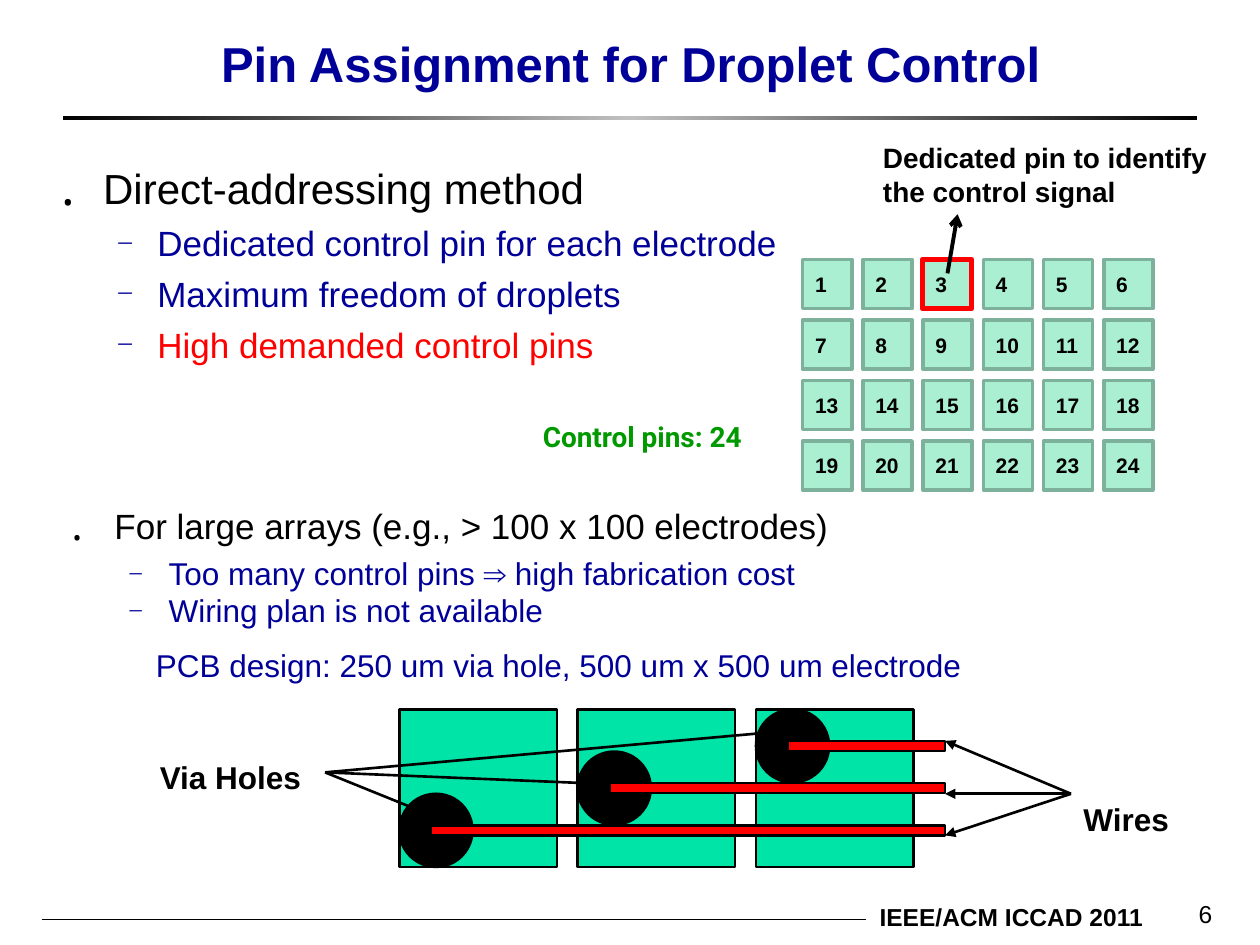
from dataclasses import dataclass

from lxml.etree import SubElement as Sub
from pptx import Presentation as Deck
from pptx.dml.color import RGBColor as RGB
from pptx.enum.shapes import MSO_CONNECTOR as Link, MSO_SHAPE as Kind
from pptx.enum.text import MSO_ANCHOR as Anchor, PP_ALIGN as Align
from pptx.oxml.ns import qn
from pptx.util import Inches as In, Pt


@dataclass(frozen=True)
class Theme:
    font: str = "Arial"
    accent: str = "Roboto"
    black: str = "000000"
    silver: str = "C0C0C0"
    navy: str = "000099"
    red: str = "FF0000"
    green: str = "009900"
    teal: str = "00E4A8"
    mint: str = "AAEFD1"
    sage: str = "7EB19B"
    title: int = 28
    head: int = 24
    body: int = 20
    label: int = 18
    note: int = 16
    foot: int = 14
    cell: int = 12


def write(frame, text, *, size, color, font, bold=False, align=Align.LEFT,
          first=True, left=0, hang=0, mark=None, scale=100,
          line=None, before=0, after=0):
    para = frame.paragraphs[0] if first else frame.add_paragraph()
    para.alignment = align
    para.space_before, para.space_after = Pt(before), Pt(after)
    if line:
        para.line_spacing = line
    run = para.add_run()
    run.text = text
    run.font.size, run.font.bold, run.font.name = Pt(size), bold, font
    run.font.color.rgb = RGB.from_string(color)
    props = para._p.get_or_add_pPr()
    props.set("marL", str(In(left)))
    props.set("indent", str(In(-hang)))
    if mark:
        tint = color if mark == "․" else Theme.navy
        Sub(Sub(props, qn("a:buClr")), qn("a:srgbClr"), val=tint)
        Sub(props, qn("a:buSzPct"), val=str(scale * 1000))
        Sub(props, qn("a:buFont"), typeface=font)
        Sub(props, qn("a:buChar"), char=mark)


class Board:
    def __init__(self, slide, theme):
        self.slide, self.theme = slide, theme

    def box(self, x, y, w, h, fill=None, line=None, width=1.5, kind=Kind.RECTANGLE):
        shape = self.slide.shapes.add_shape(kind, In(x), In(y), In(w), In(h))
        shape.shadow.inherit = False
        if fill:
            shape.fill.solid()
            shape.fill.fore_color.rgb = RGB.from_string(fill)
        else:
            shape.fill.background()
        if line:
            shape.line.color.rgb = RGB.from_string(line)
            shape.line.width = Pt(width)
        else:
            shape.line.fill.background()
        return shape

    def rule(self, x, y, w, h, tints):
        shape = self.box(x, y, w, h)
        shape.fill.gradient()
        shape.fill.gradient_angle = 0
        stops = shape._element.spPr.find(qn("a:gradFill")).find(qn("a:gsLst"))
        for stop in list(stops):
            stops.remove(stop)
        for i, tint in enumerate(tints):
            stop = Sub(stops, qn("a:gs"), pos=str(100000 * i // (len(tints) - 1)))
            Sub(stop, qn("a:srgbClr"), val=tint)

    def line(self, start, end, width=1.5, tip=None):
        ends = [In(v) for v in (*start, *end)]
        link = self.slide.shapes.add_connector(Link.STRAIGHT, *ends)
        link.line.color.rgb = RGB.from_string(self.theme.black)
        link.line.width = Pt(width)
        if tip:
            Sub(link.line._get_or_add_ln(), qn("a:tailEnd"), type=tip)
        Sub(link._element.spPr, qn("a:effectLst"))

    def frame(self, x, y, w, h, anchor=Anchor.TOP):
        frame = self.slide.shapes.add_textbox(In(x), In(y), In(w), In(h)).text_frame
        frame.word_wrap = True
        frame.vertical_anchor = anchor
        return frame

    def text(self, text, x, y, w, h, anchor=Anchor.TOP, **style):
        look = dict(size=self.theme.label, color=self.theme.black,
                    font=self.theme.font, bold=True)
        write(self.frame(x, y, w, h, anchor), text, **(look | style))

    def list(self, x, y, w, h, items):
        frame = self.frame(x, y, w, h)
        for i, (text, style) in enumerate(items):
            write(frame, text, font=self.theme.font, first=i == 0, **style)

    def cell(self, text, x, y, side):
        shape = self.box(x, y, side, side, self.theme.mint, self.theme.sage, 2)
        frame = shape.text_frame
        frame.margin_right = 0
        frame.vertical_anchor = Anchor.MIDDLE
        write(frame, text, size=self.theme.cell, color=self.theme.black,
              font=self.theme.font, bold=True)


def lists(board):
    t = board.theme
    dot = dict(color=t.black, left=0.38, hang=0.38, mark="․", scale=120)
    dash = dict(color=t.navy, left=0.81, hang=0.31, mark="─", scale=55)
    top = dash | dict(size=t.body, before=5)
    low = dash | dict(size=t.label, before=2, line=0.9)
    board.list(0.34, 1.24, 9.08, 5.81, [
        ("Direct-addressing method", dot | dict(size=t.head, before=5)),
        ("Dedicated control pin for each electrode", top),
        ("Maximum freedom of droplets", top),
        ("High demanded control pins", top | dict(color=t.red)),
    ])
    board.list(0.43, 3.99, 9.07, 3, [
        ("For large arrays (e.g., > 100 x 100 electrodes)",
         dot | dict(size=t.body, before=2, after=4.5, line=0.9)),
        ("Too many control pins ⇒ high fabrication cost", low),
        ("Wiring plan is not available", low | dict(after=9.5)),
        ("PCB design: 250 um via hole, 500 um x 500 um electrode",
         low | dict(left=0.71, hang=0, mark=None)),
    ])


def wiring(board):
    t = board.theme
    lefts = [3.17 + 2.83 / 2 * i for i in range(3)]
    tops = [6.3 - 0.67 / 2 * i for i in range(3)]
    for x in lefts:
        board.box(x, 5.63, 1.25, 1.25, t.teal, t.black)
    for x, y in zip(lefts, tops):
        board.box(x, y, 0.58, 0.58, t.black, t.black, kind=Kind.OVAL)
    for x, y in zip(lefts, tops):
        board.box(x + 0.25, y + 0.25, 7.25 - x, 0.08, t.red, t.black)
    for end in ((3.42, 6.47), (4.75, 6.22), (6.25, 5.8)):
        board.line((2.58, 6.13), end, tip="triangle")
    for y in (5.88, 6.3, 6.63):
        board.line((8.5, 6.3), (7.5, y), tip="triangle")
    board.text("Via Holes", 1.17, 5.97, 1.33, 0.4)
    board.text("Wires", 8.5, 6.3, 1.33, 0.4)


def grid(board):
    t = board.theme
    for i in range(24):
        row, col = divmod(i, 6)
        board.cell(str(i + 1), 6.37 + 2.39 / 5 * col, 2.06 + 0.48 * row, 0.39)
    board.text("Control pins: 24", 4.21, 3.28, 2.03, 0.37,
               size=t.note, color=t.green, font=t.accent)
    board.text("Dedicated pin to identify the control signal",
               6.91, 1.07, 3.13, 0.64, size=t.note)
    board.box(7.32, 2.06, 0.39, 0.39, line=t.red, width=3)
    board.line((7.52, 2.17), (7.6, 1.7), 2.25, "arrow")


def main():
    deck = Deck()
    deck.slide_width, deck.slide_height = In(10), In(7.5)
    t = Theme()
    board = Board(deck.slides.add_slide(deck.slide_layouts[6]), t)
    board.rule(0.5, 0.92, 9, 0.03, (t.black, t.silver, t.black))
    board.line((0.33, 7.3), (6.87, 7.3), 0.5)
    board.text("IEEE/ACM ICCAD 2011", 4.92, 7.11, 4.25, 0.34,
               size=t.foot, align=Align.RIGHT)
    board.text("Pin Assignment for Droplet Control", 0.55, 0.19, 8.91, 0.62,
               Anchor.MIDDLE, size=t.title, color=t.navy, align=Align.CENTER)
    board.text("6", 7.64, 6.92, 2.08, 0.5, Anchor.BOTTOM,
               size=t.foot, bold=False, align=Align.RIGHT)
    lists(board)
    wiring(board)
    grid(board)
    deck.save("out.pptx")


if __name__ == "__main__":
    main()
